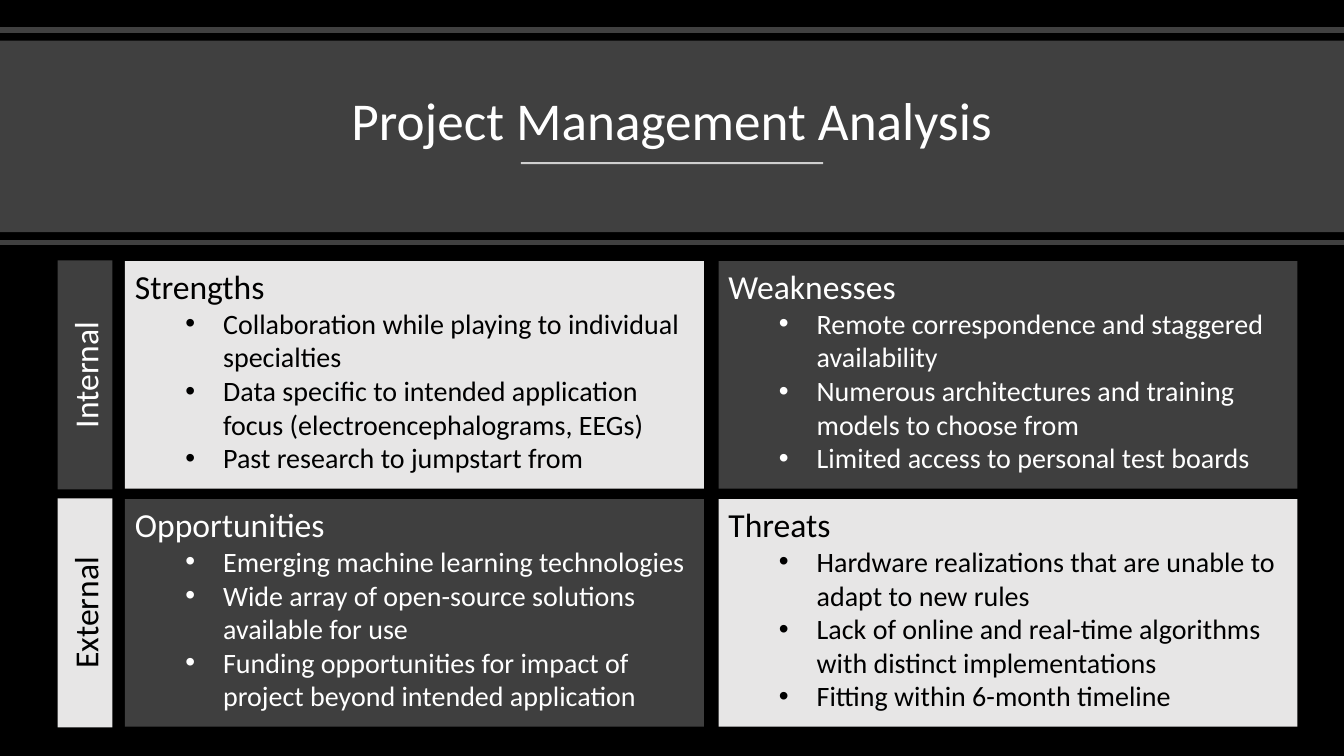
from lxml import etree
from pptx import Presentation
from pptx import util as u
from pptx.dml.color import RGBColor
from pptx.enum import shapes, text
from pptx.oxml import ns

Pt = u.Pt
THEME = {
    "font": "Calibri", "title": 38, "heading": 24, "bullet": 20,
    "back": RGBColor(0, 0, 0), "band": RGBColor(0x40, 0x40, 0x40),
    "dark": RGBColor(0x3F, 0x3F, 0x3F), "light": RGBColor(0xE7, 0xE6, 0xE6),
    "white": RGBColor(255, 255, 255), "black": RGBColor(0, 0, 0),
}


def write(tf, content, size, color, align=text.PP_ALIGN.LEFT, bullet=False, spacing=None):
    """Fill the empty first paragraph, or add another one."""
    tf.word_wrap = True
    p = tf.paragraphs[0] if not tf.text else tf.add_paragraph()
    p.alignment = align
    if spacing:
        p.line_spacing = spacing
    if bullet:
        p.level = 1
        pPr = p._p.get_or_add_pPr()
        pPr.set("marL", str(Pt(63)))
        pPr.set("indent", str(Pt(-27)))
        etree.SubElement(pPr, ns.qn("a:buFont")).set("typeface", "Arial")
        etree.SubElement(pPr, ns.qn("a:buChar")).set("char", "•")
    r = p.add_run()
    r.text = content
    r.font.name, r.font.size, r.font.color.rgb = THEME["font"], Pt(size), color


def add_rect(x, y, w, h, fill, anchor=text.MSO_ANCHOR.TOP):
    sp = s.shapes.add_shape(shapes.MSO_SHAPE.RECTANGLE, Pt(x), Pt(y), Pt(w), Pt(h))
    sp.shadow.inherit = False
    sp.fill.solid()
    sp.fill.fore_color.rgb = fill
    sp.line.fill.background()
    sp.text_frame.vertical_anchor = anchor
    return sp


prs = Presentation()
prs.slide_width, prs.slide_height = Pt(960), Pt(540)
s = prs.slides.add_slide(prs.slide_layouts[6])
s.background.fill.solid()
s.background.fill.fore_color.rgb = THEME["back"]

# Title band
add_rect(0, 29, 960, 136.8, THEME["band"])
title = s.shapes.add_textbox(Pt(41.75), Pt(39), Pt(876.5), Pt(73.4))
title.text_frame.vertical_anchor = text.MSO_ANCHOR.BOTTOM
write(title.text_frame, "Project Management Analysis", THEME["title"], THEME["white"],
      align=text.PP_ALIGN.CENTER, spacing=0.9)

# Rules above, below and under the title: x1, x2, y, width, colour, opacity %
for x1, x2, y, width, color, opacity in [
    (0, 960, 21.5, 4, THEME["band"], 100),
    (372, 588, 116.5, 1.5, THEME["white"], 75),
    (0, 960, 173.25, 4, THEME["band"], 100),
]:
    rule = s.shapes.add_connector(shapes.MSO_CONNECTOR.STRAIGHT, Pt(x1), Pt(y), Pt(x2), Pt(y))
    rule.line.width = Pt(width)
    rule.line.color.rgb = color
    etree.SubElement(rule._element.spPr, ns.qn("a:effectLst"))
    if opacity < 100:
        clr = rule._element.spPr.find(".//" + ns.qn("a:srgbClr"))
        etree.SubElement(clr, ns.qn("a:alpha")).set("val", str(opacity * 1000))

# SWOT grid: one side tab and two boxes per row
ROWS = [
    ("Internal", [
        ("Strengths", ["Collaboration while playing to individual specialties",
                       "Data specific to intended application focus (electroencephalograms, EEGs)",
                       "Past research to jumpstart from"]),
        ("Weaknesses", ["Remote correspondence and staggered availability",
                        "Numerous architectures and training models to choose from",
                        "Limited access to personal test boards"]),
    ]),
    ("External", [
        ("Opportunities", ["Emerging machine learning technologies",
                           "Wide array of open-source solutions available for use",
                           "Funding opportunities for impact of project beyond intended application"]),
        ("Threats", ["Hardware realizations that are unable to adapt to new rules",
                     "Lack of online and real-time algorithms with distinct implementations",
                     "Fitting within 6-month timeline"]),
    ]),
]
LEFT, TOP, BOX_W, BOX_H = 89.25, 186.5, 413.5, 162.5
COL_STEP, ROW_STEP = 424, 170
TAB_CENTER, TAB_LEN, TAB_THICK = 60.75, 163.5, 39
STYLES = [(THEME["dark"], THEME["white"]), (THEME["light"], THEME["black"])]

for row, (label, boxes) in enumerate(ROWS):
    y = TOP + row * ROW_STEP
    fill, color = STYLES[row]
    tab = add_rect(TAB_CENTER - TAB_LEN / 2, y + (BOX_H - TAB_THICK) / 2,
                   TAB_LEN, TAB_THICK, fill, anchor=text.MSO_ANCHOR.MIDDLE)
    tab.rotation = 270
    write(tab.text_frame, label, THEME["heading"], color, align=text.PP_ALIGN.CENTER)

    for col, (heading, bullets) in enumerate(boxes):
        fill, color = STYLES[row == col]
        box = add_rect(LEFT + col * COL_STEP, y, BOX_W, BOX_H, fill)
        write(box.text_frame, heading, THEME["heading"], color)
        for bullet in bullets:
            write(box.text_frame, bullet, THEME["bullet"], color, bullet=True)

prs.save("out.pptx")
